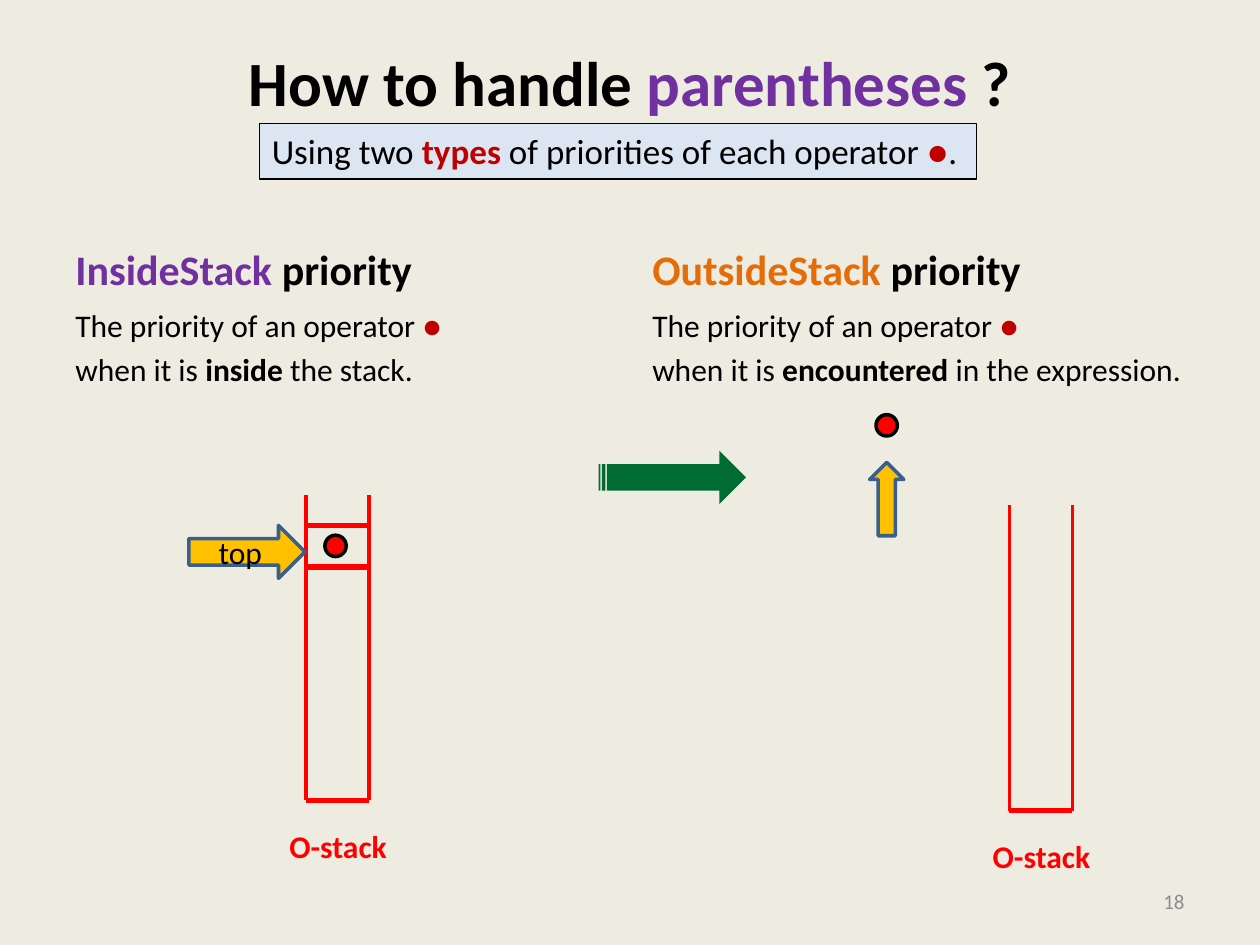
import pptx
import pptx.dml.color
import pptx.enum.shapes
import pptx.enum.text
import pptx.oxml.ns
import pptx.util
from lxml import etree

Cm, Pt = pptx.util.Cm, pptx.util.Pt
SHAPE = pptx.enum.shapes.MSO_SHAPE
ALIGN = pptx.enum.text.PP_ALIGN
ANCHOR = pptx.enum.text.MSO_ANCHOR

COLORS = {
    "background": "EEECE1", "black": "000000", "purple": "7030A0",
    "orange": "E46C0A", "crimson": "C00000", "red": "FF0000",
    "gold": "FFC000", "steel": "3A5F8C", "green": "006C31",
    "pale_blue": "DCE6F2", "grey": "8C8C8C",
}


def rgb(name):
    return pptx.dml.color.RGBColor.from_string(COLORS[name])


def write(frame, paragraphs, size, align=ALIGN.LEFT, anchor=ANCHOR.TOP, wrap=True):
    frame.word_wrap = wrap
    frame.vertical_anchor = anchor
    for index, runs in enumerate(paragraphs):
        paragraph = frame.paragraphs[0] if index == 0 else frame.add_paragraph()
        paragraph.alignment = align
        if index:
            paragraph.space_before = Pt(size * 0.2)
        for text, color, bold in runs:
            run = paragraph.add_run()
            run.text = text
            run.font.name = "Calibri"
            run.font.size = Pt(size)
            run.font.bold = bold
            run.font.color.rgb = rgb(color)


def add_text(slide, box, paragraphs, size, **layout):
    textbox = slide.shapes.add_textbox(*map(Cm, box))
    write(textbox.text_frame, paragraphs, size, **layout)


def add_figure(slide, preset, box, fill, outline=None, weight=2):
    figure = slide.shapes.add_shape(preset, *map(Cm, box))
    figure.shadow.inherit = False
    figure.fill.solid()
    figure.fill.fore_color.rgb = rgb(fill)
    if outline:
        figure.line.color.rgb = rgb(outline)
        figure.line.width = Pt(weight)
    else:
        figure.line.fill.background()
    return figure


def add_line(slide, start, end, weight):
    line = slide.shapes.add_connector(
        pptx.enum.shapes.MSO_CONNECTOR.STRAIGHT, *map(Cm, start + end))
    line.line.color.rgb = rgb("red")
    line.line.width = Pt(weight)
    etree.SubElement(line._element.spPr, pptx.oxml.ns.qn("a:effectLst"))


def add_operator(slide, left, top):
    add_figure(slide, SHAPE.OVAL, (left, top, 0.43, 0.43), "red", "black")


def add_header(slide, box):
    left, top, width, height = box
    title = [("How to handle ", "black", True), ("parentheses", "purple", True),
             (" ?", "black", True)]
    add_text(slide, box, [title], 36, align=ALIGN.CENTER)
    banner = add_figure(slide, SHAPE.RECTANGLE, (left + 3.96, top + 1.73, 14.45, 1.12),
                        "pale_blue", "black", 0.75)
    summary = [("Using two ", "black", False), ("types", "crimson", True),
               (" of priorities of each operator ", "black", False),
               ("●", "crimson", False), (".", "black", False)]
    write(banner.text_frame, [summary], 20, wrap=False)


def add_priority(slide, box, name, color, place, ending):
    left, top, width, height = box
    heading_height = 1.78
    heading = [(name, color, True), (" priority", "black", True)]
    add_text(slide, (left, top, width, heading_height), [heading], 24,
             anchor=ANCHOR.BOTTOM)
    meaning = [
        [("The priority of an operator ", "black", False), ("●", "crimson", False)],
        [("when it is ", "black", False), (place, "black", True),
         (ending, "black", False)],
    ]
    add_text(slide, (left, top + heading_height, width, height - heading_height),
             meaning, 18)


def add_stack(slide, box):
    left, top, width, height = box
    right, bottom = left + width, top + height
    for side in (left, right):
        add_line(slide, (side, top), (side, bottom), 2.25)
    add_line(slide, (left, bottom), (right, bottom), 3)
    add_text(slide, (left - 1.35, bottom + 0.41, 3.23, 1.02),
             [[("O-stack", "red", True)]], 18, align=ALIGN.RIGHT, wrap=False)


def add_top_entry(slide, box):
    left, top, width, height = box
    add_operator(slide, left + 0.4, top + 0.2)
    for level in (top, top + height):
        add_line(slide, (left, level), (left + width, level), 3)
    pointer = add_figure(slide, SHAPE.RIGHT_ARROW, (left - 2.34, top, 2.34, 1.07),
                         "gold", "steel")
    write(pointer.text_frame, [[("top", "black", False)]], 18,
          align=ALIGN.CENTER, anchor=ANCHOR.MIDDLE)


def add_incoming(slide, box):
    left, top, width, height = box
    add_figure(slide, SHAPE.STRIPED_RIGHT_ARROW, (left, top + 0.73, 2.97, 1.07), "green")
    add_operator(slide, left + width - 0.56, top)
    pointer = add_figure(slide, SHAPE.DOWN_ARROW,
                         (left + width - 0.69, top + height - 1.48, 0.69, 1.48),
                         "gold", "steel")
    pointer.rotation = 180


def main():
    deck = pptx.Presentation()
    deck.slide_width, deck.slide_height = Cm(25.4), Cm(19.05)
    slide = deck.slides.add_slide(deck.slide_layouts[6])
    slide.background.fill.solid()
    slide.background.fill.fore_color.rgb = rgb("background")

    add_header(slide, (1.27, 0.76, 22.86, 3.18))
    add_priority(slide, (1.27, 4.27, 11.23, 12.75), "InsideStack", "purple",
                 "inside", " the stack.")
    add_priority(slide, (12.9, 4.27, 11.23, 12.75), "OutsideStack", "orange",
                 "encountered", " in the expression.")
    add_stack(slide, (20.35, 10.19, 1.27, 6.15))
    add_stack(slide, (6.17, 9.98, 1.27, 6.15))
    add_top_entry(slide, (6.15, 10.59, 1.27, 0.84))
    add_incoming(slide, (12.07, 8.36, 6.15, 2.44))
    add_text(slide, (18.21, 17.65, 5.92, 1.02), [[("18", "grey", False)]], 12,
             align=ALIGN.RIGHT, anchor=ANCHOR.MIDDLE)
    deck.save("out.pptx")


if __name__ == "__main__":
    main()
